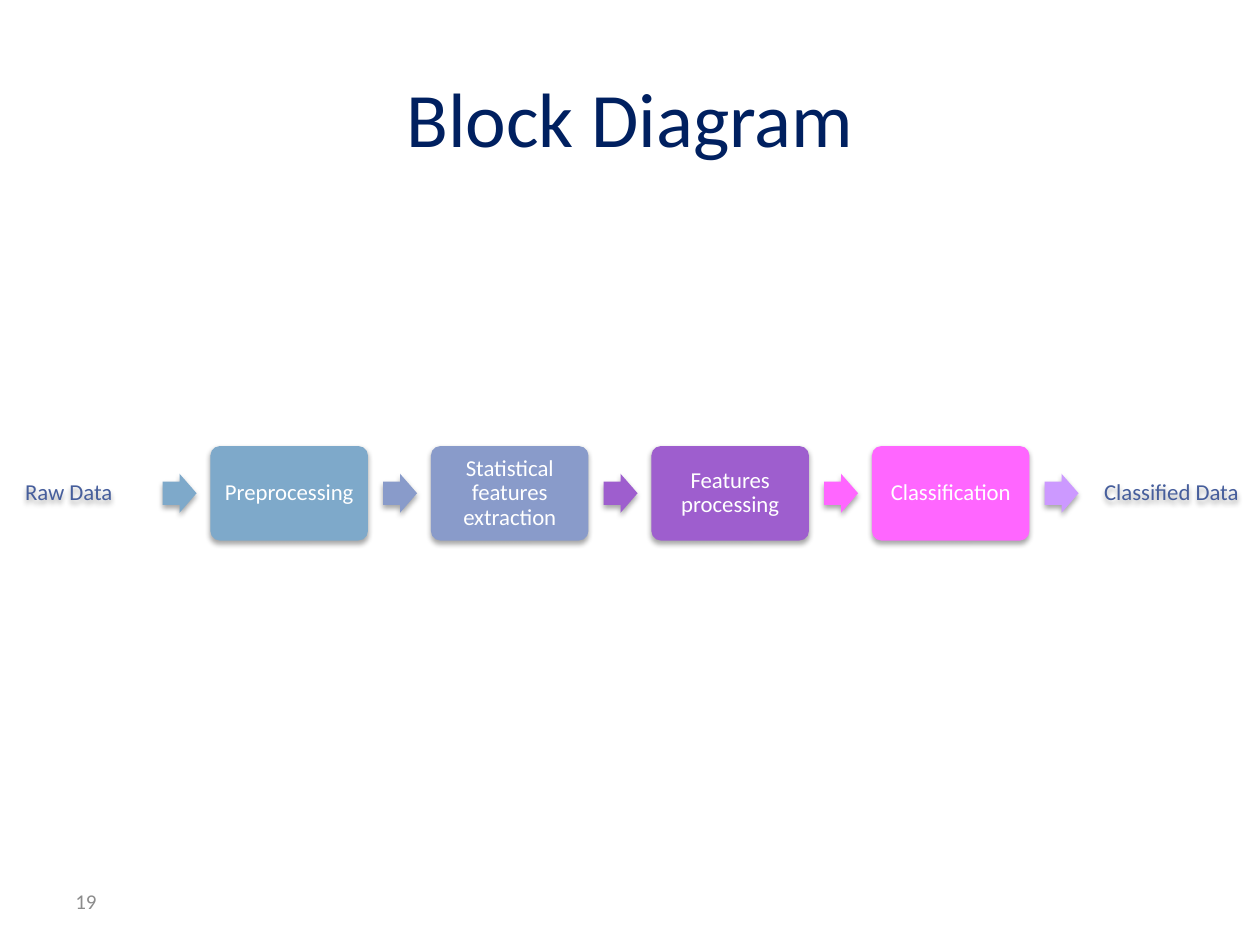
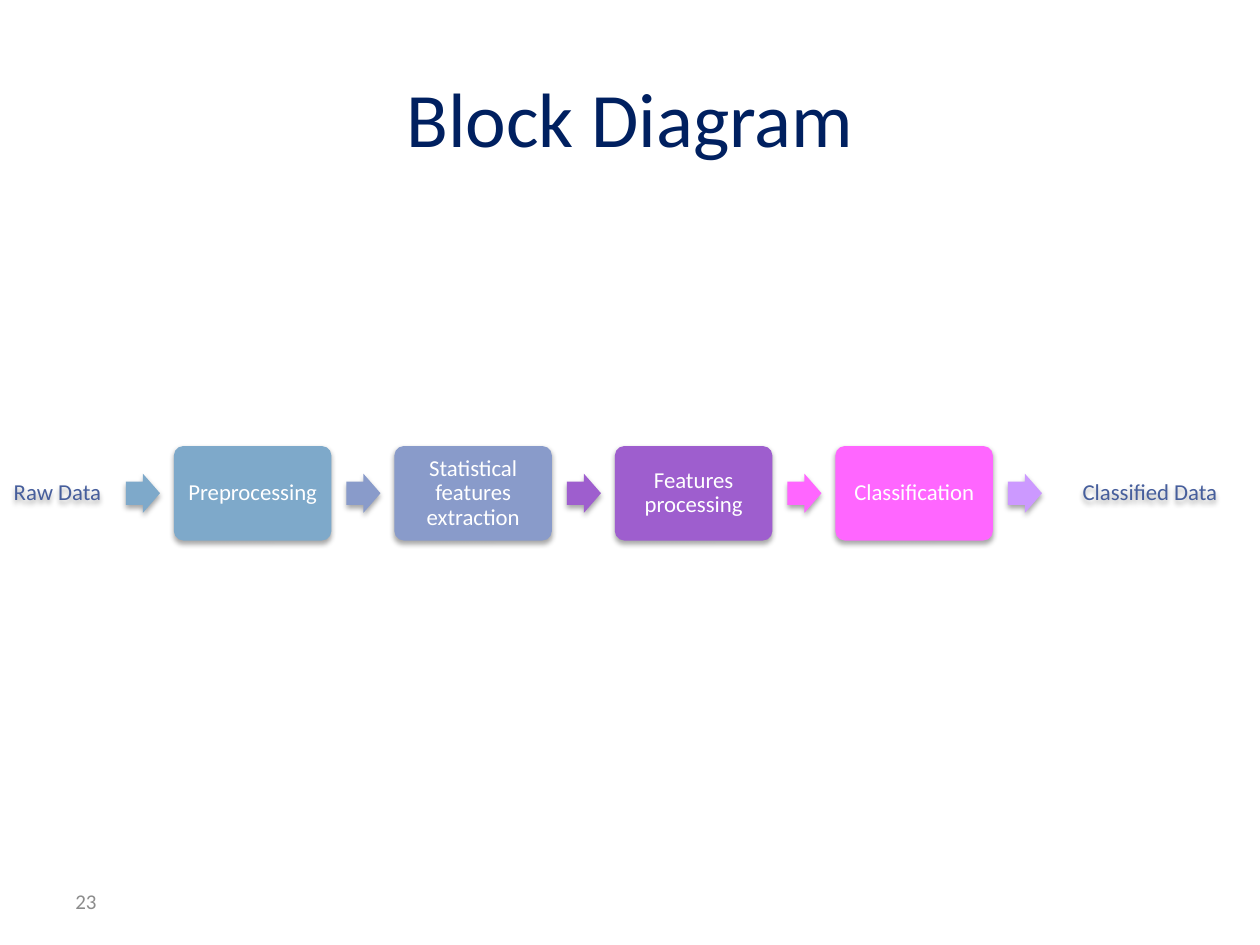
from dataclasses import dataclass

from lxml import etree
from pptx import Presentation
from pptx.dml.color import RGBColor
from pptx.enum.shapes import MSO_SHAPE
from pptx.enum.text import MSO_ANCHOR, PP_ALIGN
from pptx.oxml.ns import qn
from pptx.util import Inches, Pt

ROUNDED_BOX = MSO_SHAPE.ROUNDED_RECTANGLE
RIGHT_ARROW = MSO_SHAPE.RIGHT_ARROW
MIDDLE = MSO_ANCHOR.MIDDLE
CENTER = PP_ALIGN.CENTER
LEFT = PP_ALIGN.LEFT


@dataclass(frozen=True)
class Theme:
    font: str = "Calibri"
    title_color: str = "002060"
    number_color: str = "8C8C8C"
    label_color: str = "465E9C"
    box_text_color: str = "FFFFFF"
    shadow_color: str = "000000"
    title_size: float = 44
    number_size: float = 12
    diagram_size: float = 13


THEME = Theme()

# Processing steps with the colour of each box and of the arrow before it
STEPS = [
    ("Preprocessing", "7EA9CA"),
    ("Statistical features extraction", "899BCA"),
    ("Features processing", "9E5ECE"),
    ("Classification", "FF66FF"),
]
OUTPUT_ARROW_COLOR = "CC99FF"

# Diagram geometry in inches
BOX_WIDTH, BOX_HEIGHT = 1.25, 0.75
BOX_TOP = 3.54
ARROW_WIDTH, ARROW_HEIGHT = 0.27, 0.31
ARROW_TOP = BOX_TOP + (BOX_HEIGHT - ARROW_HEIGHT) / 2
ARROW_TO_BOX = 0.38
STEP_PITCH = 1.75
DIAGRAM_INSET = 0.05


def write_text(shape, text, *, size, color, align=CENTER, inset=None,
               line_spacing=None):
    frame = shape.text_frame
    frame.word_wrap = True
    frame.vertical_anchor = MIDDLE
    if inset is not None:
        frame.margin_left = frame.margin_right = Inches(inset)
        frame.margin_top = frame.margin_bottom = Inches(inset)
    frame.text = text
    paragraph = frame.paragraphs[0]
    paragraph.alignment = align
    paragraph.line_spacing = line_spacing
    font = paragraph.runs[0].font
    font.name = THEME.font
    font.size = Pt(size)
    font.color.rgb = RGBColor.from_string(color)


def write_diagram_text(shape, text, color):
    write_text(shape, text, size=THEME.diagram_size, color=color,
               inset=DIAGRAM_INSET, line_spacing=0.9)


def add_soft_shadow(shape):
    shape.shadow.inherit = False
    effects = shape._element.spPr.find(qn("a:effectLst"))
    shadow = etree.SubElement(
        effects, qn("a:outerShdw"), blurRad=str(Pt(3.1)), dist=str(Pt(1.8)),
        dir="5400000", rotWithShape="0")
    color = etree.SubElement(shadow, qn("a:srgbClr"), val=THEME.shadow_color)
    etree.SubElement(color, qn("a:alpha"), val="35000")


def add_filled_shape(slide, kind, left, top, width, height, color, adjustments):
    shape = slide.shapes.add_shape(
        kind, Inches(left), Inches(top), Inches(width), Inches(height))
    for index, value in enumerate(adjustments):
        shape.adjustments[index] = value
    shape.fill.solid()
    shape.fill.fore_color.rgb = RGBColor.from_string(color)
    shape.line.fill.background()
    add_soft_shadow(shape)
    return shape


def add_arrow(slide, left, color):
    add_filled_shape(slide, RIGHT_ARROW, left, ARROW_TOP, ARROW_WIDTH,
                     ARROW_HEIGHT, color, [0.6, 0.5])


def add_step_box(slide, left, text, color):
    box = add_filled_shape(slide, ROUNDED_BOX, left, BOX_TOP, BOX_WIDTH,
                           BOX_HEIGHT, color, [0.1])
    write_diagram_text(box, text, THEME.box_text_color)


def add_end_label(slide, left, text):
    label = slide.shapes.add_textbox(
        Inches(left), Inches(BOX_TOP), Inches(BOX_WIDTH), Inches(BOX_HEIGHT))
    write_diagram_text(label, text, THEME.label_color)
    add_soft_shadow(label)


def add_title(slide, text):
    title = slide.shapes.title
    title.left, title.top = Inches(0.5), Inches(0.3)
    title.width, title.height = Inches(9), Inches(1.25)
    write_text(title, text, size=THEME.title_size, color=THEME.title_color)


def add_page_number(slide, number):
    box = slide.shapes.add_textbox(
        Inches(0.5), Inches(6.95), Inches(2.33), Inches(0.4))
    write_text(box, str(number), size=THEME.number_size,
               color=THEME.number_color, align=LEFT)


def add_block_diagram(slide, first_arrow_left, input_left, output_left):
    add_end_label(slide, input_left, "Raw Data")
    for index, (text, color) in enumerate(STEPS):
        arrow_left = first_arrow_left + index * STEP_PITCH
        add_arrow(slide, arrow_left, color)
        add_step_box(slide, arrow_left + ARROW_TO_BOX, text, color)
    add_arrow(slide, first_arrow_left + len(STEPS) * STEP_PITCH,
              OUTPUT_ARROW_COLOR)
    add_end_label(slide, output_left, "Classified Data")


def add_diagram_slide(presentation, number, **positions):
    title_only = presentation.slide_layouts[5]
    slide = presentation.slides.add_slide(title_only)
    add_title(slide, "Block Diagram")
    add_page_number(slide, number)
    add_block_diagram(slide, **positions)


def main():
    presentation = Presentation()
    presentation.slide_width = Inches(10)
    presentation.slide_height = Inches(7.5)
    add_diagram_slide(presentation, 19, first_arrow_left=1.29,
                      input_left=-0.08, output_left=8.67)
    add_diagram_slide(presentation, 23, first_arrow_left=1,
                      input_left=-0.17, output_left=8.5)
    presentation.save("out.pptx")


if __name__ == "__main__":
    main()
